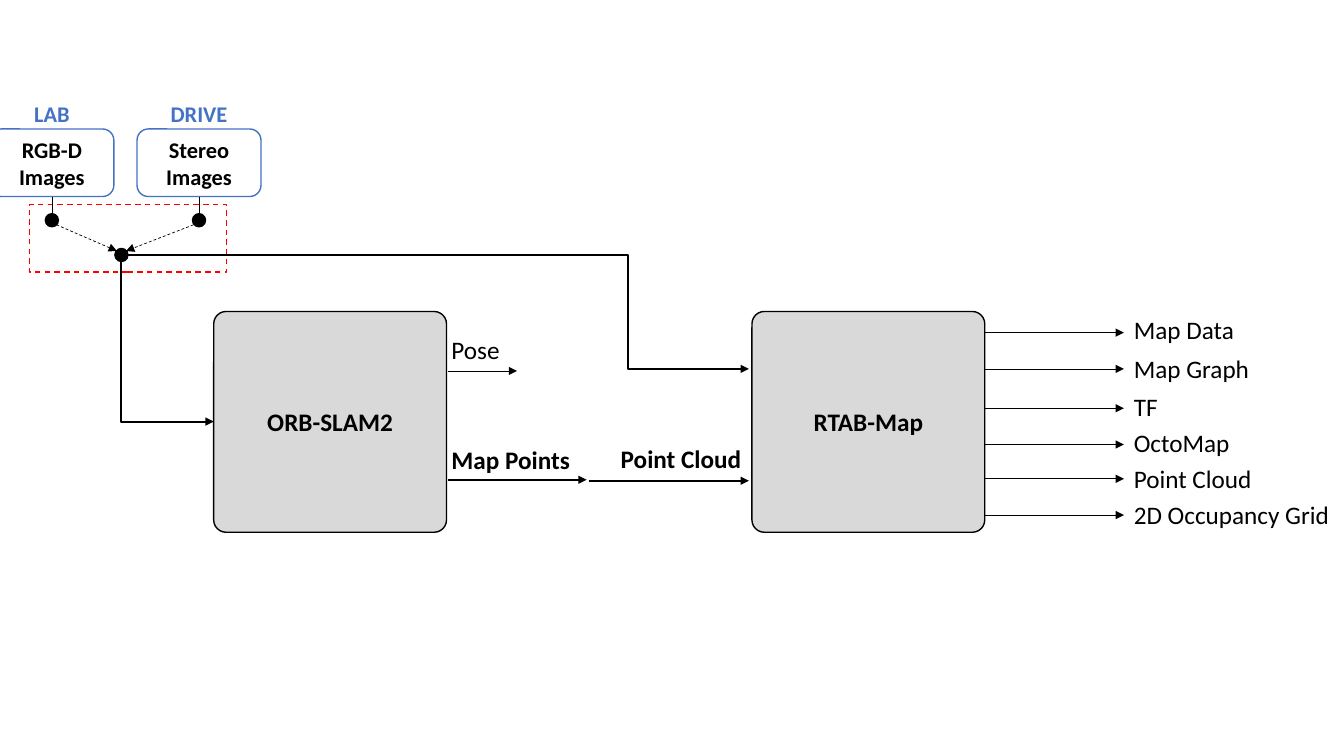
from dataclasses import dataclass
from lxml.etree import SubElement as Sub
from pptx import Presentation
from pptx.dml.color import RGBColor as RGB
from pptx.enum.dml import MSO_LINE as Dash
from pptx.enum.shapes import MSO_CONNECTOR as Conn, MSO_SHAPE as Form
from pptx.enum.text import MSO_ANCHOR as Anchor, MSO_AUTO_SIZE as Fit, PP_ALIGN as Align
from pptx.oxml.ns import qn
from pptx.util import Pt


@dataclass
class Theme:
    font: str = "Calibri"
    ink: str = "000000"
    paper: str = "FFFFFF"
    gray: str = "D9D9D9"
    blue: str = "4472C4"
    red: str = "FF0000"
    big: float = 18
    small: float = 16
    thin: float = 0.5
    edge: float = 1
    thick: float = 1.5


T = Theme()

INPUTS = [("LAB", "RGB-D Images", -7.2), ("DRIVE", "Stereo Images", 97.92)]
BLOCKS = [("RTAB-Map", 537.12), ("ORB-SLAM2", 152.64)]
OUTPUTS = [
    ("Map Data", 237.6, 221.04, 87.12),
    ("Map Graph", 263.52, 249.12, 97.92),
    ("TF", 291.6, 275.76, 31.68),
    ("OctoMap", 317.52, 301.68, 83.52),
    ("Point Cloud", 342, 327.6, 99.36),
    ("2D Occupancy Grid", 367.92, 352.8, 155.52),
]
LABELS = [
    ("Pose", 315.36, 235.44, 48.96, False),
    ("Map Points", 315.36, 313.92, 100.08, True),
    ("Point Cloud", 436.32, 313.2, 101.52, True),
]
FLOWS = [
    (319.68, 264.96, 369.36, T.thin),
    (319.68, 342.72, 419.04, T.thick),
    (420.48, 343.44, 534.96, T.thick),
]
TOP, WIDE, HIGH = 222.48, 166.32, 157.68
CARD, DOT = 88.56, 9.36
HUB = (86.76, 182.16)

deck = Presentation()
deck.slide_width, deck.slide_height = Pt(960), Pt(540)
slide = deck.slides.add_slide(deck.slide_layouts[6])
shapes = slide.shapes


def style(frame, text, size, bold=False, color=T.ink, align=Align.LEFT):
    frame.text = text
    para = frame.paragraphs[0]
    para.alignment = align
    font = para.runs[0].font
    font.name, font.size, font.bold = T.font, Pt(size), bold
    font.color.rgb = RGB.from_string(color)


def box(form, x, y, w, h, fill, edge=None, text="", size=T.big, color=T.ink, curve=None):
    item = shapes.add_shape(form, Pt(x), Pt(y), Pt(w), Pt(h))
    item.shadow.inherit = False
    item.fill.solid()
    item.fill.fore_color.rgb = RGB.from_string(fill)
    if edge:
        item.line.color.rgb = RGB.from_string(edge)
        item.line.width = Pt(T.edge)
    else:
        item.line.fill.background()
    if curve is not None:
        item.adjustments[0] = curve
    if text:
        item.text_frame.word_wrap = True
        item.text_frame.vertical_anchor = Anchor.MIDDLE
        style(item.text_frame, text, size, True, color, Align.CENTER)
    return item


def label(text, x, y, w, bold=False):
    frame = shapes.add_textbox(Pt(x), Pt(y), Pt(w), Pt(29.08)).text_frame
    frame.word_wrap = False
    frame.auto_size = Fit.SHAPE_TO_FIT_TEXT
    style(frame, text, T.big, bold)


def link(x, y, u, v, width=T.thin, arrow=True, dash=False, bend=None):
    kind = Conn.STRAIGHT if bend is None else Conn.ELBOW
    wire = shapes.add_connector(kind, Pt(x), Pt(y), Pt(u), Pt(v))
    wire.line.color.rgb = RGB.from_string(T.ink)
    wire.line.width = Pt(width)
    if dash:
        wire.line.dash_style = Dash.DASH
    props = wire._element.spPr
    if arrow:
        Sub(props.find(qn("a:ln")), qn("a:tailEnd"), type="triangle")
    if bend is not None:
        guides = props.find(qn("a:prstGeom")).find(qn("a:avLst"))
        Sub(guides, qn("a:gd"), name="adj1", fmla=f"val {bend}")
    Sub(props, qn("a:effectLst"))
    return wire


def dot(x, y):
    return box(Form.OVAL, x - DOT / 2, y - DOT / 2, DOT, DOT, T.ink, T.ink)


for name, x in BLOCKS:
    box(Form.ROUNDED_RECTANGLE, x, TOP, WIDE, HIGH, T.gray, T.ink, name, curve=0.056)

for name, mid, y, w in OUTPUTS:
    link(703.44, mid, 802.8, mid)
    label(name, 802.8, y, w)

for x, y, end, width in FLOWS:
    link(x, y, end, y, width)
for row in LABELS:
    label(*row)

switch = box(Form.RECTANGLE, 20.88, 146.16, 141.12, 48.24, T.paper, T.red)
switch.line.dash_style = Dash.DASH

for tag, name, x in INPUTS:
    card = box(Form.ROUNDED_RECTANGLE, x, 92.16, CARD, 48.24, T.paper, T.blue, name, T.small)
    port = dot(x + CARD / 2, 157.32)
    stem = link(x + CARD / 2, 140.4, x + CARD / 2, 152.64, arrow=False)
    stem.begin_connect(card, 2)
    stem.end_connect(port, 0)
    box(Form.ROUNDED_RECTANGLE, x, 71.28, CARD, 19.44, T.paper, None, tag, T.small, T.blue)

dot(*HUB)
link(HUB[0], HUB[1] + DOT / 2, 152.64, 301.2, T.thick, bend=0)
link(HUB[0] + DOT / 2, HUB[1], 447.84, HUB[1], T.thick, arrow=False)
link(445.68, HUB[1], 534.96, 263.52, T.thick, bend=3200)
link(40.32, 160.56, 83.52, 179.28, dash=True)
link(138.24, 160.56, 90, 179.28, dash=True)

deck.save("out.pptx")
